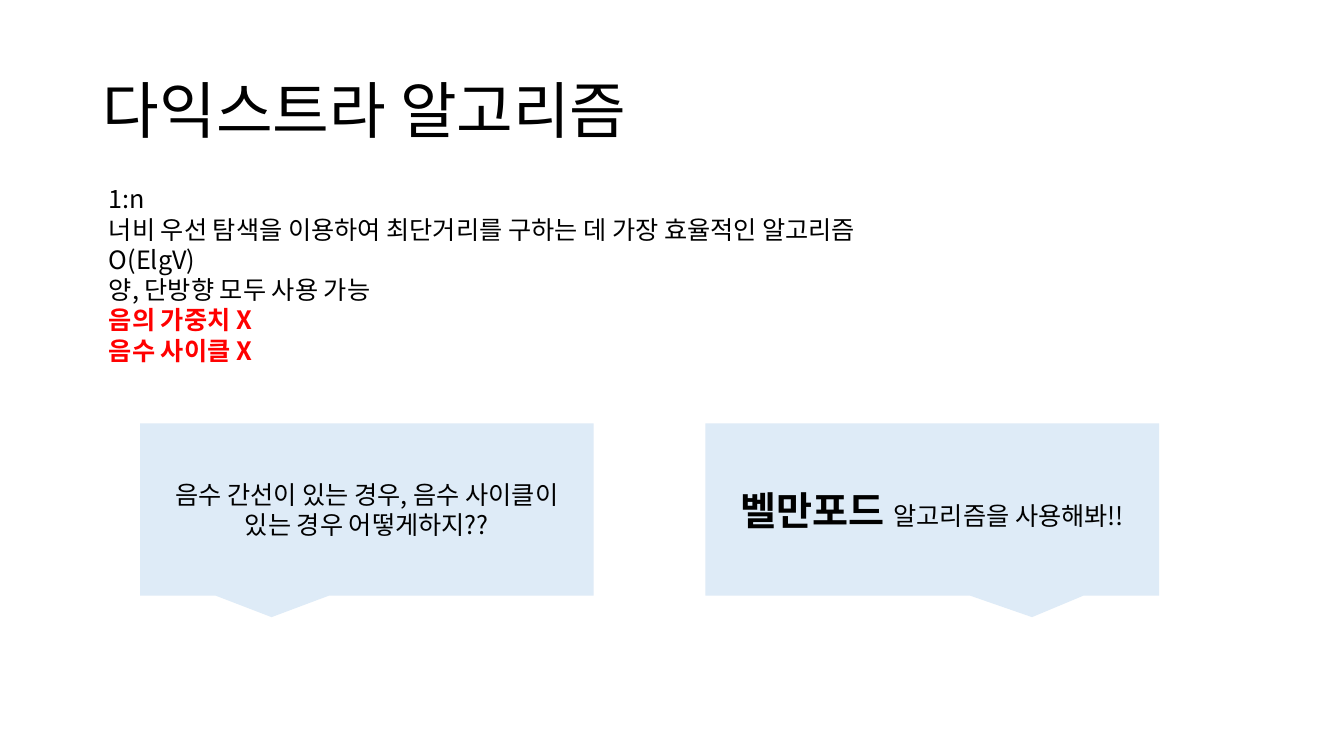
"""Build the slide on Dijkstra's algorithm with two speech callouts."""
from dataclasses import dataclass
from typing import Any

from lxml.etree import SubElement
from pptx import Presentation
from pptx.dml.color import RGBColor
from pptx.enum.shapes import MSO_SHAPE
from pptx.enum.text import MSO_ANCHOR, MSO_AUTO_SIZE, PP_ALIGN
from pptx.oxml.ns import qn
from pptx.util import Cm, Pt

CALLOUT = MSO_SHAPE.RECTANGULAR_CALLOUT
MIDDLE, TOP = MSO_ANCHOR.MIDDLE, MSO_ANCHOR.TOP
LEFT, CENTER = PP_ALIGN.LEFT, PP_ALIGN.CENTER
FIT_SHAPE, NO_FIT = MSO_AUTO_SIZE.SHAPE_TO_FIT_TEXT, MSO_AUTO_SIZE.NONE

FONT = "Noto Sans CJK KR"
COLORS = {"text": "000000", "warning": "FF0000", "callout": "DEEBF7"}

TITLE_FRAME = {"vertical_anchor": MIDDLE, "word_wrap": True, "auto_size": NO_FIT}
FACTS_FRAME = {"vertical_anchor": TOP, "word_wrap": False, "auto_size": FIT_SHAPE}
CALLOUT_FRAME = {"vertical_anchor": MIDDLE, "word_wrap": True}
TITLE_PARAGRAPH = {"alignment": LEFT, "line_spacing": 0.9}
FACTS_PARAGRAPH = {"alignment": LEFT, "space_before": Pt(0)}
CALLOUT_PARAGRAPH = {"alignment": CENTER}


@dataclass(frozen=True)
class Phrase:
    text: str
    size: int = 18
    bold: bool = False
    color: str = "text"


@dataclass(frozen=True)
class Speech:
    phrases: list[Phrase]
    tail_x: float


TITLE = Phrase("다익스트라 알고리즘", size=44)
FACTS = [
    Phrase("1:n"),
    Phrase("너비 우선 탐색을 이용하여 최단거리를 구하는 데 가장 효율적인 알고리즘"),
    Phrase("O(ElgV)"),
    Phrase("양, 단방향 모두 사용 가능"),
    Phrase("음의 가중치 X", bold=True, color="warning"),
    Phrase("음수 사이클 X", bold=True, color="warning"),
]
SPEECHES = [
    Speech([Phrase("음수 간선이 있는 경우, 음수 사이클이 있는 경우 어떻게하지??")], -0.21),
    Speech([Phrase("벨만포드 ", size=28, bold=True), Phrase("알고리즘을 사용해봐!!")], 0.22),
]
SPEECH_LEFT, SPEECH_TOP, SPEECH_STEP = 3.53, 10.67, 14.25
SPEECH_WIDTH, SPEECH_HEIGHT, TAIL_Y = 11.43, 4.34, 0.625


def apply(target: Any, values: dict[str, Any]) -> None:
    """Set each named attribute on the target."""
    for name, value in values.items():
        setattr(target, name, value)


def place(holder: Any, left: float, top: float, width: float, height: float) -> None:
    """Move and size a placeholder, in centimetres."""
    apply(holder, {"left": Cm(left), "top": Cm(top),
                   "width": Cm(width), "height": Cm(height)})


def write_phrase(paragraph: Any, phrase: Phrase) -> None:
    """Add one formatted run to the paragraph."""
    run = paragraph.add_run()
    run.text = phrase.text
    apply(run.font, {"name": FONT, "size": Pt(phrase.size), "bold": phrase.bold})
    run.font.color.rgb = RGBColor.from_string(COLORS[phrase.color])
    SubElement(run.font._element, qn("a:ea"), typeface=FONT)


def write_lines(frame: Any, lines: list[list[Phrase]], frame_format: dict[str, Any],
                paragraph_format: dict[str, Any]) -> None:
    """Fill a text frame with one paragraph per line."""
    apply(frame, frame_format)
    for index, phrases in enumerate(lines):
        paragraph = frame.add_paragraph() if index else frame.paragraphs[0]
        apply(paragraph, paragraph_format)
        for phrase in phrases:
            write_phrase(paragraph, phrase)


def remove_bullets(frame: Any) -> None:
    """Drop the bullet and hanging indent of every paragraph."""
    for paragraph in frame.paragraphs:
        properties = paragraph._p.get_or_add_pPr()
        properties.set("marL", "0")
        properties.set("indent", "0")
        SubElement(properties, qn("a:buNone"))


def add_speech(slide: Any, speech: Speech, left: float) -> None:
    """Draw one callout with its tail and text."""
    callout = slide.shapes.add_shape(CALLOUT, Cm(left), Cm(SPEECH_TOP),
                                     Cm(SPEECH_WIDTH), Cm(SPEECH_HEIGHT))
    callout.adjustments[0] = speech.tail_x
    callout.adjustments[1] = TAIL_Y
    callout.shadow.inherit = False
    callout.fill.solid()
    callout.fill.fore_color.rgb = RGBColor.from_string(COLORS["callout"])
    callout.line.fill.background()
    write_lines(callout.text_frame, [speech.phrases], CALLOUT_FRAME, CALLOUT_PARAGRAPH)


def main() -> None:
    """Create and save the presentation."""
    deck = Presentation()
    apply(deck, {"slide_width": Cm(33.87), "slide_height": Cm(19.05)})
    slide = deck.slides.add_slide(deck.slide_layouts[1])

    title, facts = slide.placeholders
    place(title, 2.34, 1.02, 29.21, 3.68)
    write_lines(title.text_frame, [[TITLE]], TITLE_FRAME, TITLE_PARAGRAPH)
    place(facts, 2.49, 4.5, 21.79, 4.88)
    write_lines(facts.text_frame, [[fact] for fact in FACTS], FACTS_FRAME, FACTS_PARAGRAPH)
    remove_bullets(facts.text_frame)

    for index, speech in enumerate(SPEECHES):
        add_speech(slide, speech, SPEECH_LEFT + index * SPEECH_STEP)
    deck.save("out.pptx")


if __name__ == "__main__":
    main()
